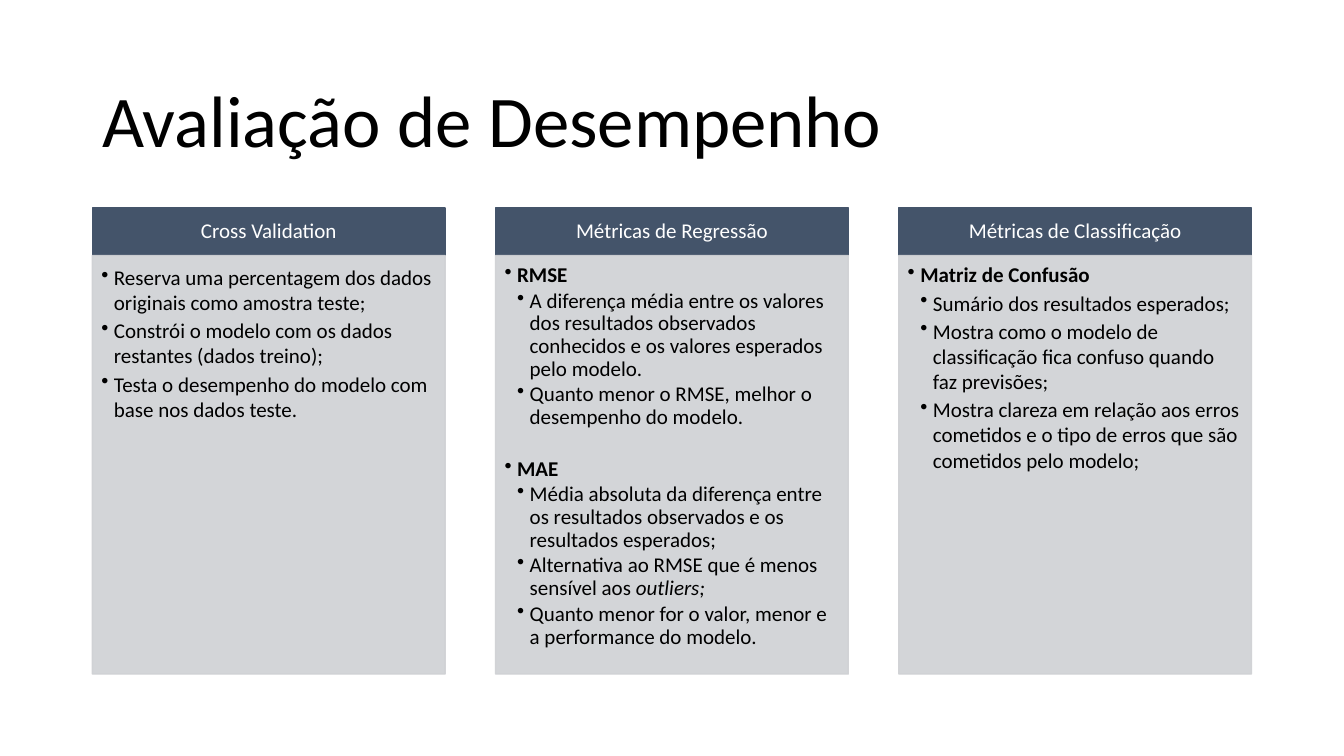
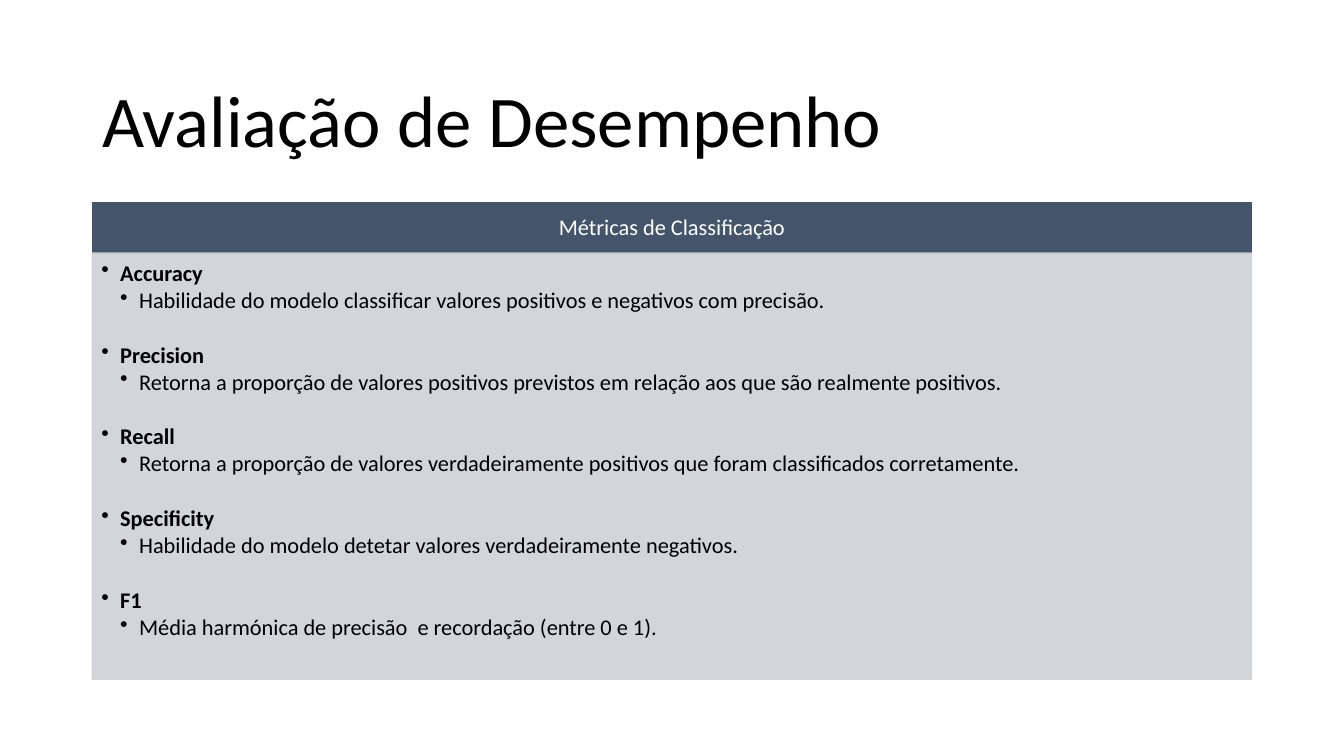
from pptx import Presentation
from pptx.dml.color import RGBColor
from pptx.enum.shapes import MSO_SHAPE as Shape
from pptx.enum.text import MSO_ANCHOR as Anchor, PP_ALIGN as Align
from pptx.oxml.ns import qn
from pptx.util import Pt
from lxml.etree import SubElement

COLOURS = {"header": "44546A", "panel": "CFD1D4", "dark": "000000", "light": "FFFFFF"}
FONT = "Calibri"
TITLE = "Avaliação de Desempenho"
LEFT, CONTENT_WIDTH = 66, 828
COLUMN_GAP = 36
TIGHT = 0.9
SPACE_AFTER = 2.1

COLUMNS = [
    ("Cross Validation", 1.0, [
        (None, [
            "Reserva uma percentagem dos dados originais como amostra teste;",
            "Constrói o modelo com os dados restantes (dados treino);",
            "Testa o desempenho do modelo com base nos dados teste.",
        ]),
    ]),
    ("Métricas de Regressão", TIGHT, [
        ("RMSE", [
            "A diferença média entre os valores dos resultados observados "
            "conhecidos e os valores esperados pelo modelo.",
            "Quanto menor o RMSE, melhor o desempenho do modelo.",
        ]),
        ("MAE", [
            "Média absoluta da diferença entre os resultados observados e os "
            "resultados esperados;",
            "Alternativa ao RMSE que é menos sensível aos *outliers;*",
            "Quanto menor for o valor, menor e a performance do modelo.",
        ]),
    ]),
    ("Métricas de Classificação", 1.0, [
        ("Matriz de Confusão", [
            "Sumário dos resultados esperados;",
            "Mostra como o modelo de classificação fica confuso quando faz previsões;",
            "Mostra clareza em relação aos erros cometidos e o tipo de erros que são "
            "cometidos pelo modelo;",
        ]),
    ]),
]

CLASSIFICATION = [
    ("Métricas de Classificação", TIGHT, [
        ("Accuracy", [
            "Habilidade do modelo classificar valores positivos e negativos com precisão.",
        ]),
        ("Precision", [
            "Retorna a proporção de valores positivos previstos em relação aos que são "
            "realmente positivos.",
        ]),
        ("Recall", [
            "Retorna a proporção de valores verdadeiramente positivos que foram "
            "classificados corretamente.",
        ]),
        ("Specificity", [
            "Habilidade do modelo detetar valores verdadeiramente negativos.",
        ]),
        ("F1", ["Média harmónica de precisão  e recordação (entre 0 e 1)."]),
    ]),
]


def colour(name):
    return RGBColor.from_string(COLOURS[name])


def format_runs(paragraph, size, colour_name, bold=False):
    for run in paragraph.runs:
        run.font.name = FONT
        run.font.size = Pt(size)
        run.font.bold = bold
        run.font.color.rgb = colour(colour_name)


def set_margins(text_frame, left, top, right, bottom):
    text_frame.word_wrap = True
    text_frame.margin_left, text_frame.margin_top = Pt(left), Pt(top)
    text_frame.margin_right, text_frame.margin_bottom = Pt(right), Pt(bottom)


def add_title(slide):
    box = slide.shapes.add_textbox(Pt(LEFT), Pt(44), Pt(CONTENT_WIDTH), Pt(89))
    text_frame = box.text_frame
    set_margins(text_frame, 7.2, 3.6, 7.2, 3.6)
    text_frame.vertical_anchor = Anchor.MIDDLE
    text_frame.text = TITLE
    paragraph = text_frame.paragraphs[0]
    paragraph.line_spacing = TIGHT
    format_runs(paragraph, 52, "dark")


def add_rectangle(slide, left, top, width, height, colour_name, opacity=100):
    shape = slide.shapes.add_shape(
        Shape.RECTANGLE, Pt(left), Pt(top), Pt(width), Pt(height))
    shape.shadow.inherit = False
    shape.fill.solid()
    shape.fill.fore_color.rgb = colour(colour_name)
    shape.line.color.rgb = colour(colour_name)
    shape.line.width = Pt(1)
    if opacity < 100:
        for element in list(shape._element.spPr.iter(qn("a:srgbClr"))):
            SubElement(element, qn("a:alpha"), val=str(opacity * 1000))
    return shape


def add_header(slide, left, top, width, height, text, size):
    text_frame = add_rectangle(slide, left, top, width, height, "header").text_frame
    set_margins(text_frame, 8.5, 5, 8.5, 5)
    text_frame.vertical_anchor = Anchor.MIDDLE
    text_frame.text = text
    paragraph = text_frame.paragraphs[0]
    paragraph.alignment = Align.CENTER
    paragraph.line_spacing = TIGHT
    format_runs(paragraph, size, "light")


def add_bullet(paragraph, text, size, level, indent, spacing, bold=False):
    for index, part in enumerate(text.split("*")):
        if part:
            run = paragraph.add_run()
            run.text = part
            run.font.italic = index % 2 == 1
    format_runs(paragraph, size, "dark", bold)
    paragraph.alignment = Align.LEFT
    paragraph.line_spacing = spacing
    paragraph.space_after = Pt(SPACE_AFTER)
    properties = paragraph._p.get_or_add_pPr()
    properties.set("marL", str(Pt(indent * level)))
    properties.set("indent", str(-Pt(indent)))
    SubElement(properties, qn("a:buChar"), char="•")


def add_body(slide, left, top, width, height, groups, size, indent, spacing):
    shape = add_rectangle(slide, left, top, width, height, "panel", 90)
    text_frame = shape.text_frame
    set_margins(text_frame, 6.4, 6.4, 8.5, 9.6)
    text_frame.vertical_anchor = Anchor.TOP
    entries = []
    for heading, items in groups:
        if heading:
            entries.append((heading, 1, TIGHT, True))
        entries += [(item, 2 if heading else 1, spacing, False) for item in items]
    for index, (text, level, line_spacing, bold) in enumerate(entries):
        paragraph = text_frame.add_paragraph() if index else text_frame.paragraphs[0]
        add_bullet(paragraph, text, size, level, indent, line_spacing, bold)
        if bold and index:
            paragraph.space_before = Pt(round(size * 1.1 + SPACE_AFTER, 2))


def add_panels(slide, panels, top, header_height, body_height, size, indent):
    count = len(panels)
    width = (CONTENT_WIDTH - COLUMN_GAP * (count - 1)) / count
    for index, (header, spacing, groups) in enumerate(panels):
        left = LEFT + index * (width + COLUMN_GAP)
        add_header(slide, left, top, width, header_height, header, size)
        add_body(slide, left, top + header_height, width, body_height,
                 groups, size, indent, spacing)


def add_slide(presentation, panels, **layout):
    slide = presentation.slides.add_slide(presentation.slide_layouts[6])
    add_title(slide)
    add_panels(slide, panels, **layout)


def main():
    presentation = Presentation()
    presentation.slide_width, presentation.slide_height = Pt(960), Pt(540)
    add_slide(presentation, COLUMNS, top=148.5, header_height=34,
              body_height=299, size=15, indent=9)
    add_slide(presentation, CLASSIFICATION, top=144.7, header_height=36,
              body_height=304.5, size=16, indent=13.5)
    presentation.save("out.pptx")


if __name__ == "__main__":
    main()
